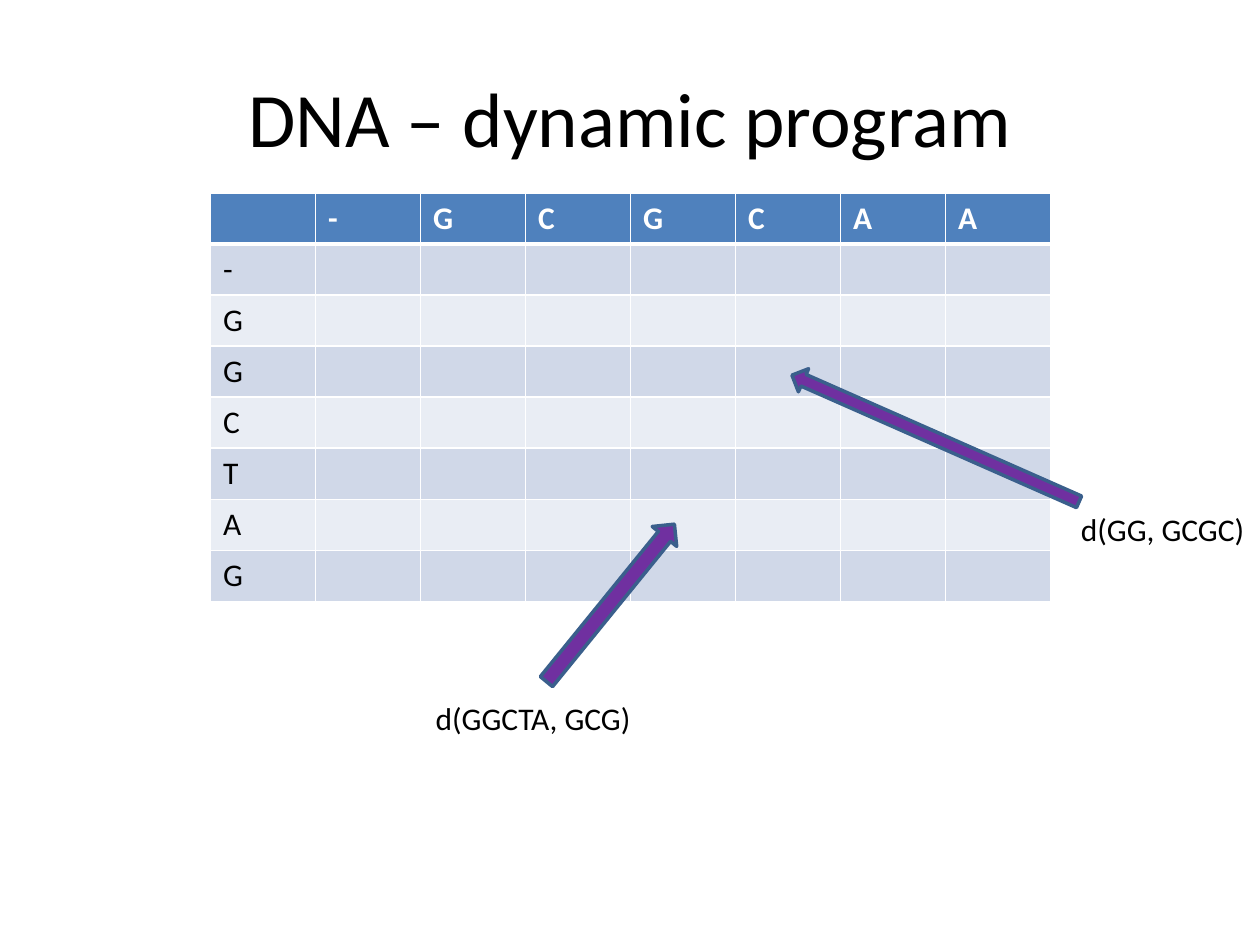
from lxml.etree import SubElement
from pptx import Presentation
from pptx.dml.color import RGBColor
from pptx.enum.shapes import MSO_SHAPE as Shape
from pptx.enum.text import MSO_ANCHOR as Anchor, MSO_AUTO_SIZE as AutoSize, PP_ALIGN as Align
from pptx.oxml.ns import qn
from pptx.util import Inches, Pt


def rgb(hex_string):
    return RGBColor.from_string(hex_string)


def add_border(cell, side, color, width):
    line = SubElement(cell._tc.get_or_add_tcPr(), qn(f"a:{side}"), w=str(Pt(width)))
    fill = SubElement(line, qn("a:solidFill"))
    SubElement(fill, qn("a:srgbClr"), val=color)


class SlideBuilder:
    FONT = "Calibri"
    BLACK, WHITE = "000000", "FFFFFF"
    HEADER, BANDS = "4F81BD", ("D0D8E8", "E9EDF4")
    ARROW_FILL, ARROW_LINE = "7030A0", "3A5F8C"

    def __init__(self, presentation):
        self.slide = presentation.slides.add_slide(presentation.slide_layouts[5])

    def set_text(self, frame, text, size=18, color=BLACK, bold=False, align=Align.LEFT):
        paragraph = frame.paragraphs[0]
        paragraph.text = text
        paragraph.alignment = align
        formats = {"name": self.FONT, "size": Pt(size), "bold": bold}
        for name, value in formats.items():
            setattr(paragraph.font, name, value)
        paragraph.font.color.rgb = rgb(color)

    def title(self, text, left, top, width, height):
        shape = self.slide.shapes.title
        places = {"left": left, "top": top, "width": width, "height": height}
        for name, value in places.items():
            setattr(shape, name, Inches(value))
        shape.text_frame.vertical_anchor = Anchor.MIDDLE
        self.set_text(shape.text_frame, text, size=44, align=Align.CENTER)

    def alignment_table(self, across, down, left, top, width, height):
        """Draw an empty scoring grid with one sequence across and one down."""
        row_count, column_count = len(down) + 1, len(across) + 1
        table = self.slide.shapes.add_table(
            row_count, column_count, *map(Inches, (left, top, width, height))).table
        for row in range(row_count):
            for column in range(column_count):
                self.style_cell(table.cell(row, column), row)
        for column, letter in enumerate(across, 1):
            self.set_text(table.cell(0, column).text_frame, letter, color=self.WHITE, bold=True)
        for row, letter in enumerate(down, 1):
            self.set_text(table.cell(row, 0).text_frame, letter)

    def style_cell(self, cell, row):
        top_width = 3 if row == 1 else 1
        bottom_width = 3 if row == 0 else 1
        widths = {"lnL": 1, "lnR": 1, "lnT": top_width, "lnB": bottom_width}
        for side, width in widths.items():
            add_border(cell, side, self.WHITE, width)
        cell.fill.solid()
        cell.fill.fore_color.rgb = rgb(self.BANDS[(row - 1) % 2] if row else self.HEADER)

    def arrow(self, left, top, width, height, rotation):
        shape = self.slide.shapes.add_shape(
            Shape.RIGHT_ARROW, *map(Inches, (left, top, width, height)))
        shape.rotation = rotation
        shape.shadow.inherit = False
        shape.fill.solid()
        shape.fill.fore_color.rgb = rgb(self.ARROW_FILL)
        shape.line.color.rgb = rgb(self.ARROW_LINE)
        shape.line.width = Pt(2)

    def label(self, text, left, top, width, height):
        box = self.slide.shapes.add_textbox(*map(Inches, (left, top, width, height)))
        box.text_frame.word_wrap = False
        box.text_frame.auto_size = AutoSize.SHAPE_TO_FIT_TEXT
        self.set_text(box.text_frame, text)


def main():
    presentation = Presentation()
    presentation.slide_width, presentation.slide_height = Inches(10), Inches(7.5)
    builder = SlideBuilder(presentation)
    builder.title("DNA – dynamic program", 0.5, 0.3, 9, 1.25)
    builder.alignment_table("-GCGCAA", "-GGCTAG", 1.67, 1.53, 6.67, 3.24)
    builder.arrow(4.04, 4.66, 1.61, 0.25, 309.1)
    builder.label("d(GGCTA, GCG)", 3.36, 5.5, 1.77, 0.4)
    builder.label("d(GG, GCGC)", 8.48, 4, 1.52, 0.4)
    builder.arrow(6.18, 3.38, 2.49, 0.2, 203.8)
    presentation.save("out.pptx")


if __name__ == "__main__":
    main()
